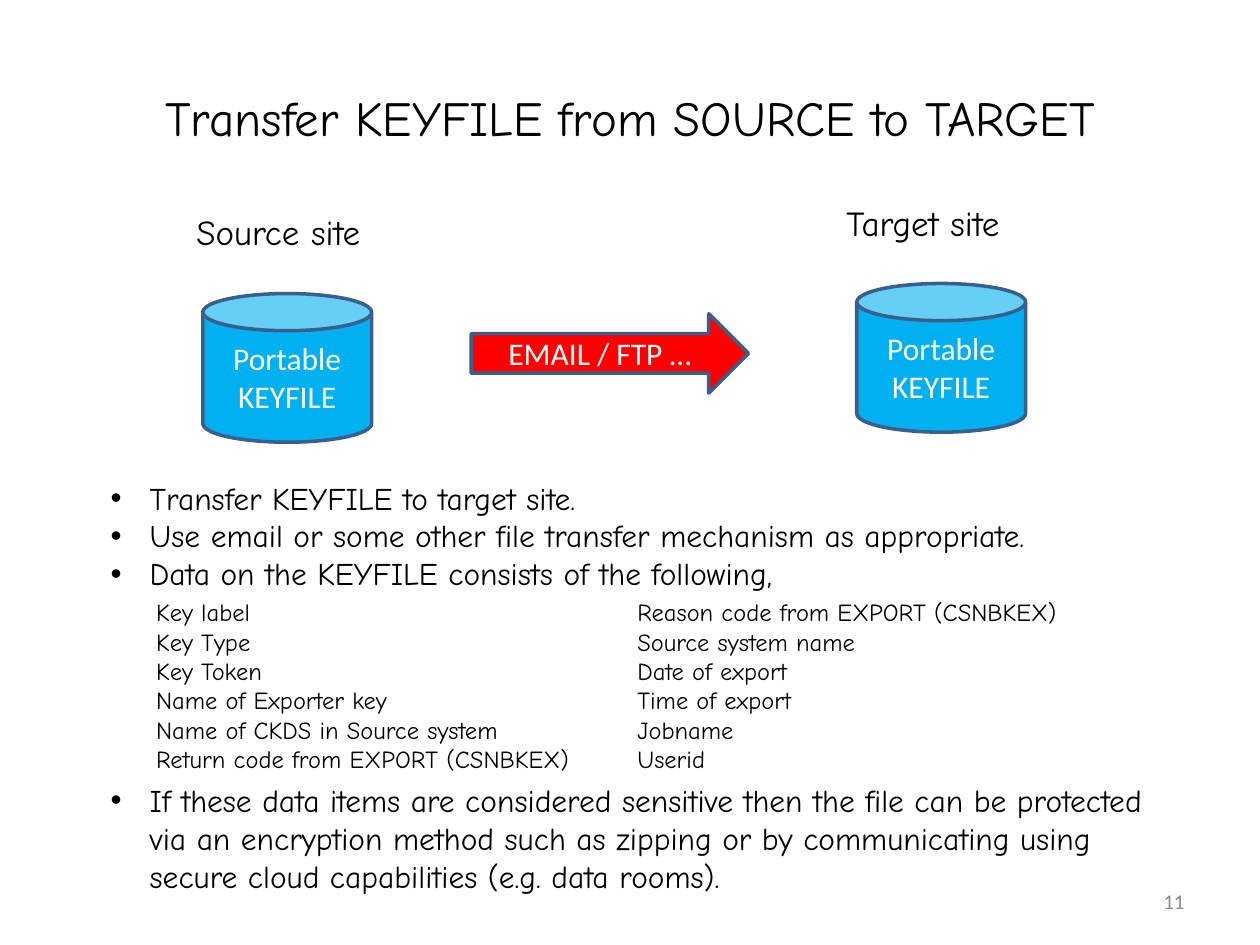
from pptx import Presentation, util as u
from pptx.dml.color import RGBColor
from pptx.enum import shapes, text
from pptx.oxml.ns import qn

BLACK = RGBColor(0, 0, 0)
WHITE = RGBColor(255, 255, 255)
GRAY = RGBColor(0x8C, 0x8C, 0x8C)
BLUE = RGBColor(0, 0xB0, 0xF0)
RED = RGBColor(255, 0, 0)
OUTLINE = RGBColor(0x3A, 0x5F, 0x8C)
HAND, SANS = "Comic Neue", "Calibri"
LEFT, CENTER, RIGHT = text.PP_ALIGN.LEFT, text.PP_ALIGN.CENTER, text.PP_ALIGN.RIGHT
TOP, MIDDLE = text.MSO_ANCHOR.TOP, text.MSO_ANCHOR.MIDDLE

# Content
TITLE = "Transfer KEYFILE from SOURCE to TARGET"
SITES = [  # label, label position, can position
    ("Source site", (1.46, 1.62), (1.61, 2.33)),
    ("Target site", (6.62, 1.55), (6.8, 2.25)),
]
STORE = ["Portable", "KEYFILE"]
CHANNEL = ["EMAIL / FTP …"]
BULLETS = [
    "Transfer KEYFILE to target site.",
    "Use email or some other file transfer mechanism as appropriate.",
    "Data on the KEYFILE consists of the following,",
    "If these data items are considered sensitive then the file can be protected "
    "via an encryption method such as zipping or by communicating using "
    "secure cloud capabilities (e.g. data rooms).",
]
FIELDS = [  # left edge, width, lines
    (1.14, 3.82, ["Key label", "Key Type", "Key Token", "Name of Exporter key",
                  "Name of CKDS in Source system",
                  "Return code from EXPORT (CSNBKEX)"]),
    (4.96, 3.82, ["Reason code from EXPORT (CSNBKEX)", "Source system name",
                  "Date of export", "Time of export", "Jobname", "Userid"]),
]
FIELDS_TOP, FIELDS_HEIGHT = 4.69, 1.75
FIELDS_GAP = 108  # points kept free for the field columns
INDENT = 0.31
PAGE = "11"


def write(sp, lines, size=18, font=HAND, color=BLACK, align=LEFT, anchor=TOP,
          wrap=True):
    tf = sp.text_frame
    tf.word_wrap = wrap
    tf.vertical_anchor = anchor
    for i, line in enumerate(lines):
        p = tf.paragraphs[0] if i == 0 else tf.add_paragraph()
        p.alignment = align
        r = p.add_run()
        r.text = line
        r.font.name, r.font.size = font, u.Pt(size)
        r.font.color.rgb = color
    return tf


def box(s, *at):
    return s.shapes.add_textbox(*map(u.Inches, at))


def filled(s, kind, at, color, lines):
    sp = s.shapes.add_shape(kind, *map(u.Inches, at))
    sp.shadow.inherit = False
    sp.fill.solid()
    sp.fill.fore_color.rgb = color
    sp.line.color.rgb, sp.line.width = OUTLINE, u.Pt(2)
    write(sp, lines, font=SANS, color=WHITE, align=CENTER, anchor=MIDDLE)


def add_bullet(p):
    pPr = p._p.get_or_add_pPr()
    pPr.set("marL", str(u.Inches(INDENT)))
    pPr.set("indent", str(-u.Inches(INDENT)))
    font = pPr.makeelement(qn("a:buFont"), {"typeface": "Arial"})
    char = pPr.makeelement(qn("a:buChar"), {"char": "•"})
    pPr.extend([font, char])


def main():
    prs = Presentation()
    prs.slide_width, prs.slide_height = u.Inches(10), u.Inches(7.5)
    s = prs.slides.add_slide(prs.slide_layouts[5])

    # Title
    title = s.shapes.title
    title.left, title.top = u.Inches(0.5), u.Inches(0.3)
    title.width, title.height = u.Inches(9), u.Inches(1.25)
    write(title, [TITLE], size=28, align=CENTER, anchor=MIDDLE)

    # Sites and the transfer between them
    for label, label_at, can_at in SITES:
        filled(s, shapes.MSO_SHAPE.CAN, (*can_at, 1.34, 1.18), BLUE, STORE)
        write(box(s, *label_at, 1.7, 0.44), [label], size=20, wrap=False)
    filled(s, shapes.MSO_SHAPE.RIGHT_ARROW, (3.74, 2.49, 2.2, 0.63), RED, CHANNEL)

    # Bullets, with room before the last one
    tf = write(box(s, 0.78, 3.75, 8.39, 3.43), BULLETS)
    tf.paragraphs[-1].space_before = u.Pt(FIELDS_GAP)
    for p in tf.paragraphs:
        add_bullet(p)

    # Field columns
    for left, width, lines in FIELDS:
        write(box(s, left, FIELDS_TOP, width, FIELDS_HEIGHT), lines, size=14)

    # Page number
    write(box(s, 7.17, 6.95, 2.33, 0.4), [PAGE], size=12, font=SANS, color=GRAY,
          align=RIGHT, anchor=MIDDLE)

    prs.save("out.pptx")


if __name__ == "__main__":
    main()
